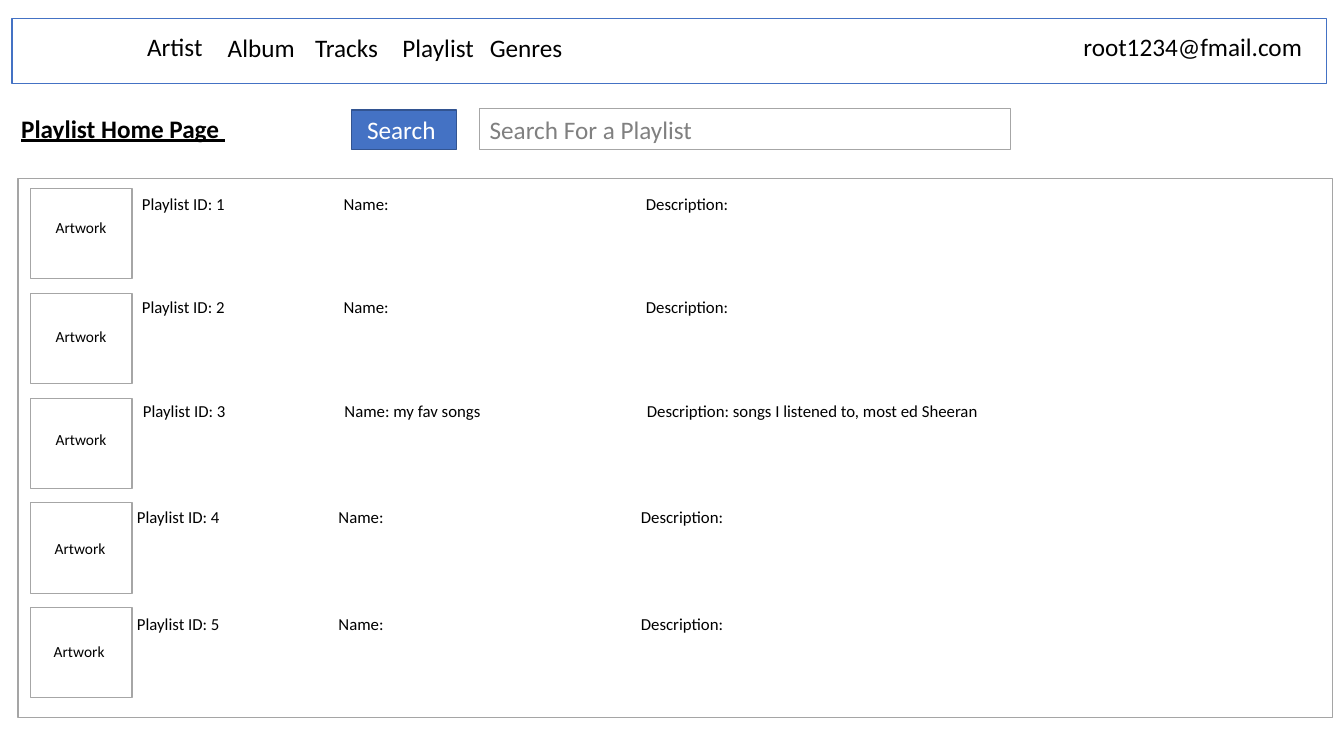
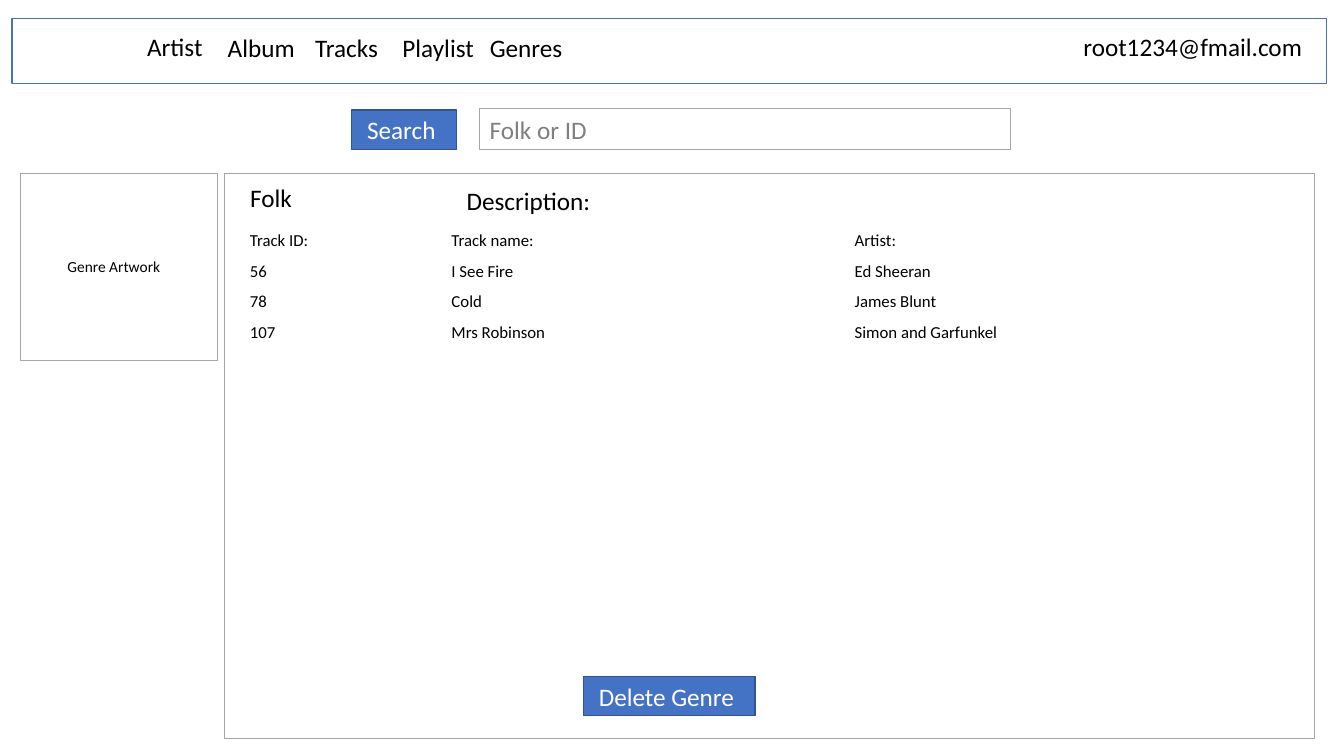
from lxml import etree
from pptx import Presentation
from pptx.dml.color import RGBColor
from pptx.enum.shapes import MSO_SHAPE
from pptx.enum.text import MSO_ANCHOR, MSO_AUTO_SIZE, PP_ALIGN
from pptx.oxml.ns import qn
from pptx.util import Pt

RECTANGLE = MSO_SHAPE.RECTANGLE
PROCESS = MSO_SHAPE.FLOWCHART_PROCESS
TOP, MIDDLE = MSO_ANCHOR.TOP, MSO_ANCHOR.MIDDLE
LEFT, CENTER = PP_ALIGN.LEFT, PP_ALIGN.CENTER
NO_AUTOFIT = MSO_AUTO_SIZE.NONE

FONT = "Calibri"
BLACK, WHITE = "000000", "FFFFFF"
BLUE, DARK_BLUE = "4472C4", "325491"
GREY, TEXT_GREY = "A6A6A6", "808080"
LARGE, SMALL, TINY = 18, 12, 11
LINE_HEIGHT = 28.8
TITLE_ONLY = 5

# Label, left, top
NAVIGATION = [("Artist", 98, 18.7)] + [
    (label, 155.6 + 62.4 * index, 19.4)
    for index, label in enumerate(["Album", "Tracks", "Playlist", "Genres"])
]
EMAIL = "root1234@fmail.com"

# Fields, text left, text top, artwork label left, artwork label top
PLAYLISTS = [
    (("Playlist ID: 1", "Name: ", "Description:"), 94.3, 134.6, 21.6, 152.6),
    (("Playlist ID: 2", "Name: ", "Description:"), 94.3, 208.1, 21.6, 230.4),
    (("Playlist ID: 3", "Name: my fav songs ",
      "Description: songs I listened to, most ed Sheeran"), 95, 283, 21.6, 303.8),
    (("Playlist ID: 4", "Name: ", "Description:"), 90.7, 358.6, 20.9, 381.6),
    (("Playlist ID: 5", "Name: ", "Description:"), 90.7, 434.9, 20.2, 455),
]
PLAYLIST_TABS = (144, 360)
ARTWORK_TOP, ARTWORK_STEP = 134.6, 74.9

TRACKS = [
    ("Track ID: ", "Track name:", "Artist:"),
    ("56 ", "I See Fire", "Ed Sheeran"),
    ("78 ", "Cold", "James Blunt"),
    ("107 ", "Mrs Robinson", "Simon and Garfunkel"),
]
TRACK_TABS = (144, 432)
TRACK_TOP, TRACK_STEP = 160.6, 21.8


def color(value):
    return RGBColor.from_string(value)


def write(shape, text, size, text_color=BLACK, align=LEFT, anchor=TOP, tabs=(), heading=False):
    frame = shape.text_frame
    frame.word_wrap = True
    frame.auto_size = NO_AUTOFIT
    frame.vertical_anchor = anchor
    paragraph = frame.paragraphs[0]
    paragraph.alignment = align
    if tabs:
        tab_list = etree.SubElement(paragraph._p.get_or_add_pPr(), qn("a:tabLst"))
        for position in tabs:
            etree.SubElement(tab_list, qn("a:tab"), pos=str(Pt(position)), algn="l")
    run = paragraph.add_run()
    run.text = text
    font = run.font
    font.name, font.size = FONT, Pt(size)
    font.color.rgb = color(text_color)
    font.bold = font.underline = heading


def add_text(slide, text, box, size=LARGE, **style):
    write(slide.shapes.add_textbox(*map(Pt, box)), text, size, **style)


def add_box(slide, box, line=GREY, width=0.75, fill=None, preset=RECTANGLE):
    shape = slide.shapes.add_shape(preset, *map(Pt, box))
    shape.shadow.inherit = False
    if fill:
        shape.fill.solid()
        shape.fill.fore_color.rgb = color(fill)
    else:
        shape.fill.background()
    shape.line.color.rgb = color(line)
    shape.line.width = Pt(width)
    return shape


def add_button(slide, text, box):
    button = add_box(slide, box, DARK_BLUE, 1, BLUE, PROCESS)
    write(button, text, LARGE, WHITE, CENTER, MIDDLE)


def set_title(slide, text, box, heading=False):
    title = slide.shapes.title
    title.left, title.top, title.width, title.height = map(Pt, box)
    write(title, text, LARGE, heading=heading)


def add_page(presentation, search_hint):
    """Add a slide with the navigation bar and the search row."""
    slide = presentation.slides.add_slide(presentation.slide_layouts[TITLE_ONLY])
    add_box(slide, (8.6, 13, 938.9, 46.8), BLUE)
    for label, left, top in NAVIGATION:
        add_text(slide, label, (left, top, 70.6, LINE_HEIGHT))
    add_text(slide, EMAIL, (766.8, 18.7, 180.7, LINE_HEIGHT))
    add_button(slide, "Search ", (251.3, 78.5, 74.9, 28.1))
    search_box = add_box(slide, (342.7, 77.8, 379.4, LINE_HEIGHT))
    write(search_box, search_hint, LARGE, TEXT_GREY)
    return slide


def build_playlist_page(presentation):
    slide = add_page(presentation, "Search For a Playlist")
    set_title(slide, "Playlist Home Page ", (7.9, 77, 165.6, LINE_HEIGHT), heading=True)
    add_box(slide, (13, 127.4, 938.9, 385.2), "A5A5A5", 1, WHITE, PROCESS)
    for index, (fields, left, top, label_left, label_top) in enumerate(PLAYLISTS):
        add_box(slide, (21.6, ARTWORK_TOP + ARTWORK_STEP * index, 72.7, 64.4))
        add_text(slide, "Artwork", (label_left, label_top, 72.7, 20.9), TINY, align=CENTER)
        add_text(slide, "\t".join(fields), (left, top, 684, 21.6), SMALL, tabs=PLAYLIST_TABS)


def build_genre_page(presentation):
    slide = add_page(presentation, "Folk or ID")
    add_box(slide, (14.4, 123.8, 141.1, 133.9))
    add_text(slide, "Genre Artwork", (25.9, 180, 110.9, 20.9), TINY, align=CENTER)
    add_box(slide, (160.6, 123.8, 778.3, 403.9))
    set_title(slide, "Folk", (171.4, 126.7, 150, LINE_HEIGHT))
    add_text(slide, "Description:", (326.2, 128.9, 259.9, LINE_HEIGHT))
    for index, fields in enumerate(TRACKS):
        box = (171.4, TRACK_TOP + TRACK_STEP * index, 760, 21.6)
        add_text(slide, "\t".join(fields), box, SMALL, tabs=TRACK_TABS)
    add_button(slide, "Delete Genre ", (416.9, 483.1, 122.4, 28.1))


def main():
    presentation = Presentation()
    presentation.slide_width, presentation.slide_height = Pt(960), Pt(540)
    build_playlist_page(presentation)
    build_genre_page(presentation)
    presentation.save("out.pptx")


if __name__ == "__main__":
    main()
